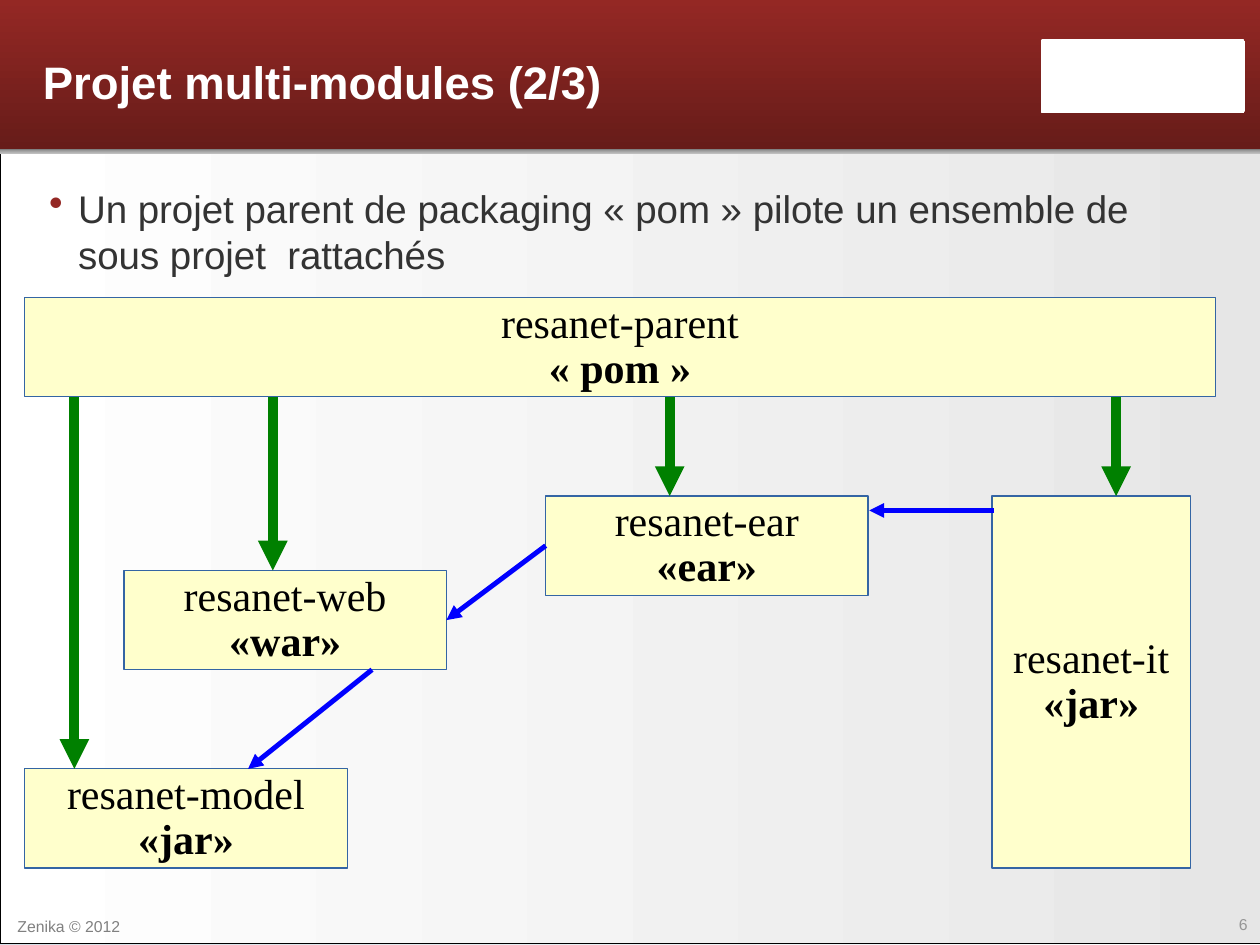
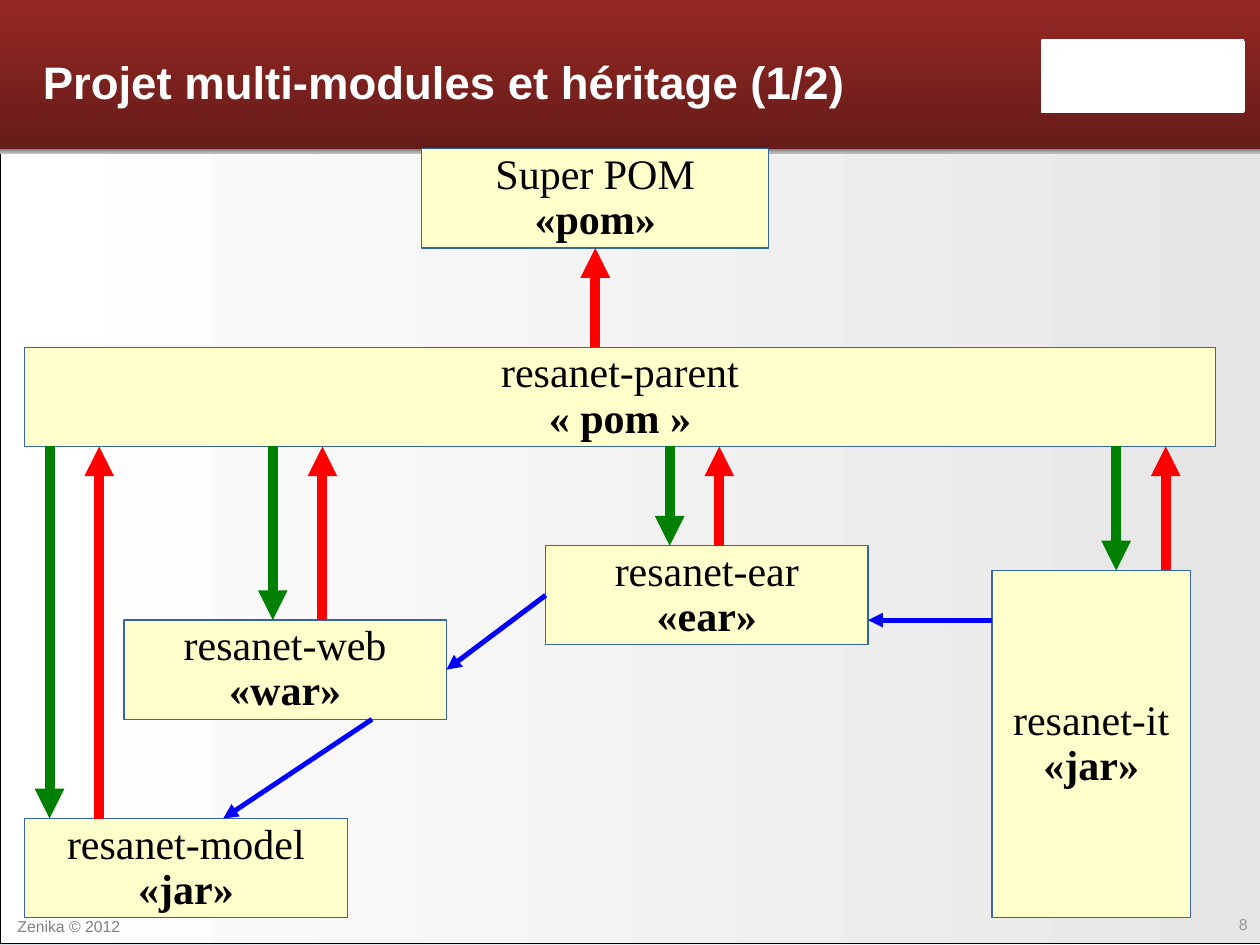
from lxml import etree
from pptx import Presentation
from pptx.dml.color import RGBColor
from pptx.enum.shapes import MSO_CONNECTOR, MSO_SHAPE as SHAPE
from pptx.enum.text import MSO_ANCHOR as ANCHOR, MSO_AUTO_SIZE, PP_ALIGN as ALIGN
from pptx.oxml.ns import qn
from pptx.util import Cm, Inches, Pt

COLORS = {
    "red": "942824", "dark red": "671C19", "white": "FFFFFF", "pale grey": "E6E6E6",
    "silver": "C0C0C0", "grey": "808080", "page grey": "969696", "text": "333333",
    "black": "000000", "box": "FFFFCC", "box line": "3465A4",
    "sky": "D5DFE7", "snow": "FEFEFE",
    "module": "008000", "dependency": "0000FF", "parent": "FF0000",
}
RGB = {name: RGBColor.from_string(value) for name, value in COLORS.items()}
ARROW_WIDTHS = {"module": 5.67, "dependency": 2.83, "parent": 5.67}
CELL = Cm(0.5)  # the diagrams sit on a half-centimetre grid

# left, top, width, height, corner, colours, gradient angle, outline
BANDS = [
    (0, 1.17, 10.04, 6.32, 0, ("white", "pale grey"), 0, "black"),
    (0, 0, 10.04, 1.18, 0, ("red", "dark red"), 270, None),
    (0, 1.18, 10.04, 0.04, 0, ("silver", "grey"), 90, None),
    (8.26, 0.31, 1.62, 0.59, 0.03, ("white", "white"), 0, None),
]

# Boxes: name, packaging, column, row, columns, rows
# Arrows: kind, start column and row, end column and row
SLIDES = [
    {
        "title": "Projet multi-modules (2/3)",
        "page": "6",
        "bullet": "Un projet parent de packaging « pom » pilote un ensemble de "
                  "sous projet  rattachés",
        "boxes": [
            ("resanet-parent", "« pom »", 1, 12, 48, 4),
            ("resanet-web", "«war»", 5, 23, 13, 4),
            ("resanet-ear", "«ear»", 22, 20, 13, 4),
            ("resanet-model", "«jar»", 1, 31, 13, 4),
            ("resanet-it", "«jar»", 40, 20, 8, 15),
        ],
        "arrows": [
            ("module", 3, 16, 3, 31),
            ("module", 11, 16, 11, 23),
            ("module", 27, 16, 27, 20),
            ("module", 45, 16, 45, 20),
            ("dependency", 15, 27, 10, 31),
            ("dependency", 22, 22, 18, 25),
            ("dependency", 40.08, 20.58, 35.05, 20.58),
        ],
    },
    {
        "title": "Projet multi-modules et héritage (1/2)",
        "page": "8",
        "bullet": None,
        "boxes": [
            ("resanet-parent", "« pom »", 1, 14, 48, 4),
            ("resanet-web", "«war»", 5, 25, 13, 4),
            ("resanet-ear", "«ear»", 22, 22, 13, 4),
            ("resanet-model", "«jar»", 1, 33, 13, 4),
            ("resanet-it", "«jar»", 40, 23, 8, 14),
            ("Super POM", "«pom»", 17, 6, 14, 4),
        ],
        "arrows": [
            ("module", 2, 18, 2, 33),
            ("module", 11, 18, 11, 25),
            ("module", 27, 18, 27, 22),
            ("module", 45, 18, 45, 23),
            ("dependency", 15, 29, 9, 33),
            ("dependency", 22, 24, 18, 27),
            ("dependency", 40, 25, 35, 25),
            ("parent", 4, 33, 4, 18),
            ("parent", 13, 25, 13, 18),
            ("parent", 29, 22, 29, 18),
            ("parent", 47, 23, 47, 18),
            ("parent", 24, 14, 24, 10),
        ],
    },
]


def fill_gradient(fill, names, angle):
    fill.gradient()
    fill.gradient_angle = angle
    for stop, name in zip(fill.gradient_stops, names):
        stop.color.rgb = RGB[name]


def style(paragraph, size, color, align=ALIGN.LEFT, bold=False, face="Arial"):
    paragraph.alignment = align
    font = paragraph.font
    font.name, font.size, font.bold = face, Pt(size), bold
    font.color.rgb = RGB[color]


prs = Presentation()
prs.slide_width, prs.slide_height = Inches(10), Inches(7.5)
title_only = prs.slide_layouts[5]

for content in SLIDES:
    slide = prs.slides.add_slide(title_only)
    shapes = slide.shapes
    fill_gradient(slide.background.fill, ("sky", "snow"), 0)

    for *place, corner, names, angle, outline in BANDS:
        band = shapes.add_shape(SHAPE.ROUNDED_RECTANGLE, *map(Inches, place))
        band.adjustments[0] = corner
        band.shadow.inherit = False
        fill_gradient(band.fill, names, angle)
        if outline:
            band.line.color.rgb = RGB[outline]
            band.line.width = Pt(0.75)
        else:
            band.line.fill.background()

    footers = [
        (content["page"], 9.25, 7.21, 0.75, 0.23, "page grey", ALIGN.RIGHT),
        ("Zenika © 2012", 0.04, 7.23, 1.18, 0.17, "grey", ALIGN.LEFT),
    ]
    for text, *place, color, align in footers:
        footer = shapes.add_textbox(*map(Inches, place)).text_frame
        footer.word_wrap = True
        footer.text = text
        style(footer.paragraphs[0], 9, color, align)

    title = shapes.title
    shapes.element.append(title.element)  # bring the title in front of the bands
    title.left, title.top = Inches(0.34), Inches(0.1)
    title.width, title.height = Inches(7.7), Inches(1.09)
    heading = title.text_frame
    heading.text = content["title"]
    heading.auto_size = MSO_AUTO_SIZE.NONE
    heading.vertical_anchor = ANCHOR.MIDDLE
    heading.margin_left = heading.margin_right = 0
    heading.margin_top = heading.margin_bottom = 0
    style(heading.paragraphs[0], 26, "white", bold=True)

    if content["bullet"]:
        summary = shapes.add_textbox(*map(Inches, (0.39, 1.47, 9.23, 0.8))).text_frame
        summary.word_wrap = True
        summary.margin_left = summary.margin_right = 0
        summary.margin_top = summary.margin_bottom = 0
        summary.text = content["bullet"]
        point = summary.paragraphs[0]
        props = point._p.get_or_add_pPr()
        props.set("marL", str(Inches(0.23)))
        props.set("indent", str(-Inches(0.23)))
        bullet_color = etree.SubElement(props, qn("a:buClr"))
        etree.SubElement(bullet_color, qn("a:srgbClr"), val=COLORS["red"])
        etree.SubElement(props, qn("a:buSzPct"), val="105000")
        etree.SubElement(props, qn("a:buChar"), char="•")
        style(point, 22, "text")

    for name, packaging, *cells in content["boxes"]:
        box = shapes.add_shape(SHAPE.RECTANGLE, *(round(n * CELL) for n in cells))
        box.shadow.inherit = False
        box.fill.solid()
        box.fill.fore_color.rgb = RGB["box"]
        box.line.color.rgb = RGB["box line"]
        box.line.width = Pt(0)
        label = box.text_frame
        label.word_wrap = True
        label.vertical_anchor = ANCHOR.MIDDLE
        label.text = f"{name}\n{packaging}"
        for paragraph, bold in zip(label.paragraphs, (False, True)):
            paragraph.line_spacing = 0.9
            style(paragraph, 24, "black", ALIGN.CENTER, bold, "Times New Roman")

    for kind, *ends in content["arrows"]:
        arrow = shapes.add_connector(MSO_CONNECTOR.STRAIGHT,
                                     *(round(n * CELL) for n in ends))
        arrow.line.color.rgb = RGB[kind]
        arrow.line.width = Pt(ARROW_WIDTHS[kind])
        etree.SubElement(arrow.line._get_or_add_ln(), qn("a:tailEnd"), type="triangle")
        etree.SubElement(arrow._element.spPr, qn("a:effectLst"))

prs.save("out.pptx")
